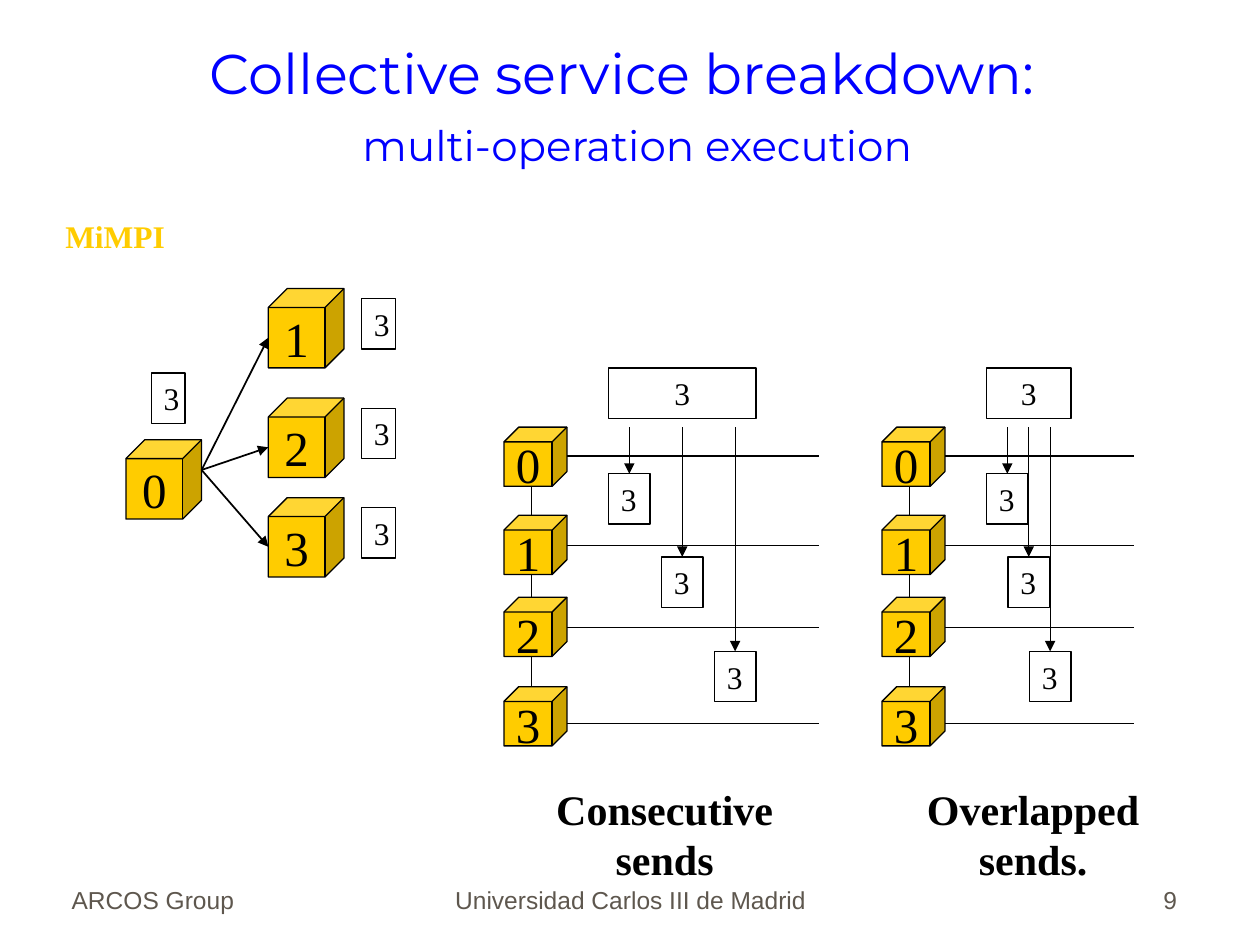
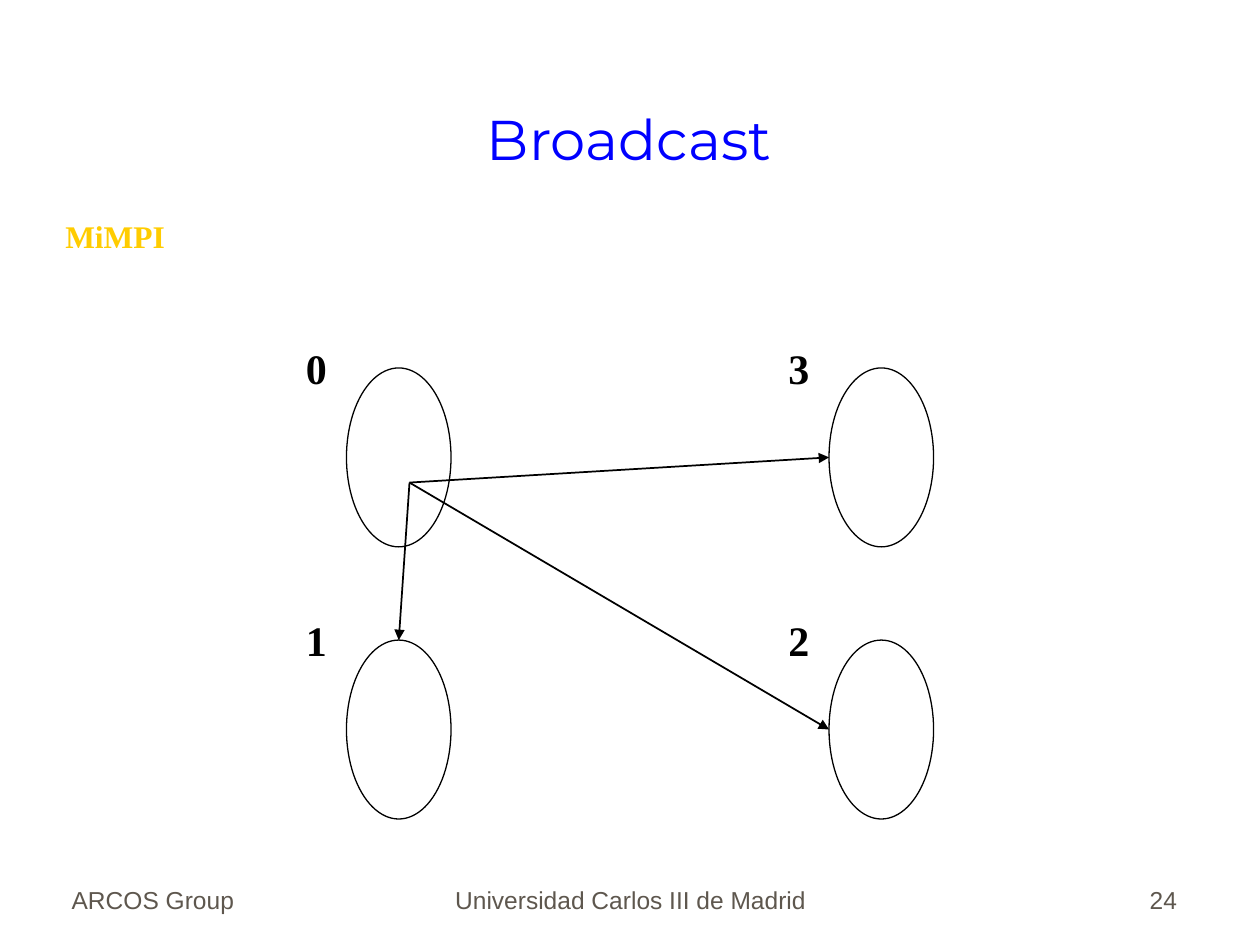
from lxml import etree
from pptx import Presentation
from pptx.dml.color import RGBColor
from pptx.enum.shapes import MSO_CONNECTOR, MSO_SHAPE
from pptx.enum.text import MSO_ANCHOR, PP_ALIGN
from pptx.oxml.ns import qn
from pptx.util import Inches, Pt

CUBE, RECT, OVAL = MSO_SHAPE.CUBE, MSO_SHAPE.RECTANGLE, MSO_SHAPE.OVAL
STRAIGHT = MSO_CONNECTOR.STRAIGHT
LEFT, CENTER, RIGHT = PP_ALIGN.LEFT, PP_ALIGN.CENTER, PP_ALIGN.RIGHT
TOP, MIDDLE, BOTTOM = MSO_ANCHOR.TOP, MSO_ANCHOR.MIDDLE, MSO_ANCHOR.BOTTOM

BLACK, BLUE, GOLD, GREY = "000000", "0000FF", "FFCC00", "5E574E"
TITLE = {"name": "Montserrat", "size": Pt(32), "color": BLUE}
SUBTITLE = {**TITLE, "size": Pt(24)}
BRAND = {"name": "Times New Roman", "size": Pt(18), "color": GOLD, "bold": True}
RANK = {"name": "Times New Roman", "size": Pt(28), "color": BLACK}
DATA = {**RANK, "size": Pt(18)}
CAPTION = {**RANK, "size": Pt(24), "bold": True}
FOOTER = {"name": "Arial", "size": Pt(14), "color": GREY}


def rgb(value):
    return RGBColor.from_string(value)


def apply_format(font, style):
    for attribute, value in style.items():
        if attribute == "color":
            font.color.rgb = rgb(value)
        else:
            setattr(font, attribute, value)


def write(shape, lines, align=LEFT, anchor=TOP, wrap=True):
    frame = shape.text_frame
    frame.word_wrap = wrap
    frame.vertical_anchor = anchor
    paragraph = frame.paragraphs[0]
    paragraph.alignment = align
    for index, line in enumerate(lines):
        if index:
            paragraph.add_line_break()
        for text, style in line:
            run = paragraph.add_run()
            run.text = text
            apply_format(run.font, style)


def add_label(slide, box, text, style, **layout):
    label = slide.shapes.add_textbox(*map(Inches, box))
    write(label, [[(text, style)]], **layout)


def add_title(slide, box, lines):
    title = slide.shapes.add_textbox(*map(Inches, box))
    write(title, lines, CENTER, BOTTOM)


def add_outline(slide, kind, box, fill=None):
    shape = slide.shapes.add_shape(kind, *map(Inches, box))
    shape.shadow.inherit = False
    shape.line.color.rgb = rgb(BLACK)
    shape.line.width = Pt(0.75)
    if fill:
        shape.fill.solid()
        shape.fill.fore_color.rgb = rgb(fill)
    else:
        shape.fill.background()
    return shape


def add_process(slide, box, rank):
    cube = add_outline(slide, CUBE, box, GOLD)
    write(cube, [[(str(rank), RANK)]], CENTER, MIDDLE, False)


def add_data(slide, box, align=LEFT):
    data = add_outline(slide, RECT, box)
    write(data, [[("3", DATA)]], align)
    return data


def add_line(slide, start, end, width=0.75, arrow=False):
    line = slide.shapes.add_connector(STRAIGHT, *map(Inches, (*start, *end)))
    line.line.color.rgb = rgb(BLACK)
    line.line.width = Pt(width)
    if arrow:
        etree.SubElement(line.line._get_or_add_ln(), qn("a:tailEnd"), type="triangle")
    etree.SubElement(line._element.spPr, qn("a:effectLst"))
    return line


def add_frame(slide, number):
    add_label(slide, (0.42, 1.67, 9.17, 0.17), "MiMPI", BRAND, wrap=False)
    footers = [
        (3.42, 3.17, "Universidad Carlos III de Madrid", CENTER),
        (7.36, 2.08, str(number), RIGHT),
        (0.47, 2.08, "ARCOS Group", LEFT),
    ]
    for left, width, text, align in footers:
        add_label(slide, (left, 6.81, width, 0.5), text, FOOTER, align=align, anchor=BOTTOM)


def draw_fan_out(slide, left, top):
    side, height = 0.6, 0.63
    face_middle = 0.39
    receiver_left = left + 1.13
    root_top = top + 1.2
    add_process(slide, (left, root_top, side, height), 0)
    add_data(slide, (left + 0.2, top + 0.67, 0.27, 0.4))
    root_exit = (left + side, root_top + 0.24)
    for rank, offset in enumerate((0, 0.87, 1.66), 1):
        receiver_top = top + offset
        add_process(slide, (receiver_left, receiver_top, side, height), rank)
        add_line(slide, root_exit, (receiver_left, receiver_top + face_middle), 1, True)
        add_data(slide, (left + 1.87, receiver_top + 0.08, 0.27, 0.4))


def draw_timeline(slide, left, top, wire_length, send_step, caption, caption_offset, caption_width):
    cube_tops = (0.47, 1.17, 1.82, 2.53)
    wire_tops = (0.7, 1.41, 2.06, 2.82)
    arrival_tops = (0.84, 1.5, 2.25)
    axis = left + 0.22
    sends_left = left + 0.83
    data_width = 0.33

    add_line(slide, (axis, top + wire_tops[0]), (axis, top + wire_tops[-1]))
    for offset in wire_tops:
        add_line(slide, (axis, top + offset), (axis + wire_length, top + offset))
    for rank, offset in enumerate(cube_tops):
        add_process(slide, (left, top + offset, 0.5, 0.47), rank)

    add_data(slide, (sends_left, top, data_width + 2 * send_step, 0.4), CENTER)
    for index, offset in enumerate(arrival_tops):
        send_left = sends_left + index * send_step
        arrival = add_data(slide, (send_left, top + offset, data_width, 0.4))
        center = send_left + data_width / 2
        send = add_line(slide, (center, top + 0.47), (center, top + offset), arrow=True)
        send.end_connect(arrival, 0)

    caption_box = (left + caption_offset, top + 3.25, caption_width, 0.9)
    add_label(slide, caption_box, caption, CAPTION, align=CENTER)


def draw_broadcast(slide, left, top):
    column_step, row_step = 3.83, 2.16
    width, height = 0.83, 1.42
    first_left, first_top = left + 0.42, top + 0.25
    for rank, (column, row) in enumerate([(0, 0), (0, 1), (1, 1), (1, 0)]):
        x, y = column * column_step, row * row_step
        add_outline(slide, OVAL, (first_left + x, first_top + y, width, height))
        add_label(slide, (left + x, top + y, 0.5, 0.5), str(rank), CAPTION)

    source = (left + 0.92, top + 1.16)
    right_column = first_left + column_step
    row_middle = first_top + height / 2
    targets = [
        (first_left + width / 2, first_top + row_step),
        (right_column, row_middle + row_step),
        (right_column, row_middle),
    ]
    for target in targets:
        add_line(slide, source, target, 1, True)


def build_breakdown(slide):
    add_frame(slide, 9)
    add_title(slide, (0.75, 0.17, 8.5, 1.25), [
        [("Collective service breakdown: ", TITLE)],
        [(" ", TITLE), ("multi-operation execution", SUBTITLE)],
    ])
    draw_fan_out(slide, 1, 2.29)
    draw_timeline(slide, 4, 2.92, 2.28, 0.42, "Consecutive sends", 0.08, 2.39)
    draw_timeline(slide, 7, 2.92, 1.78, 0.17, "Overlapped sends.", 0.15, 2.1)


def build_broadcast(slide):
    add_frame(slide, 24)
    add_title(slide, (0.33, 0.33, 9.33, 1.08), [[("Broadcast", TITLE)]])
    draw_broadcast(slide, 2.33, 2.67)


def main():
    deck = Presentation()
    deck.slide_width, deck.slide_height = Inches(10), Inches(7.5)
    blank = deck.slide_layouts[6]
    for build in (build_breakdown, build_broadcast):
        build(deck.slides.add_slide(blank))
    deck.save("out.pptx")


if __name__ == "__main__":
    main()
